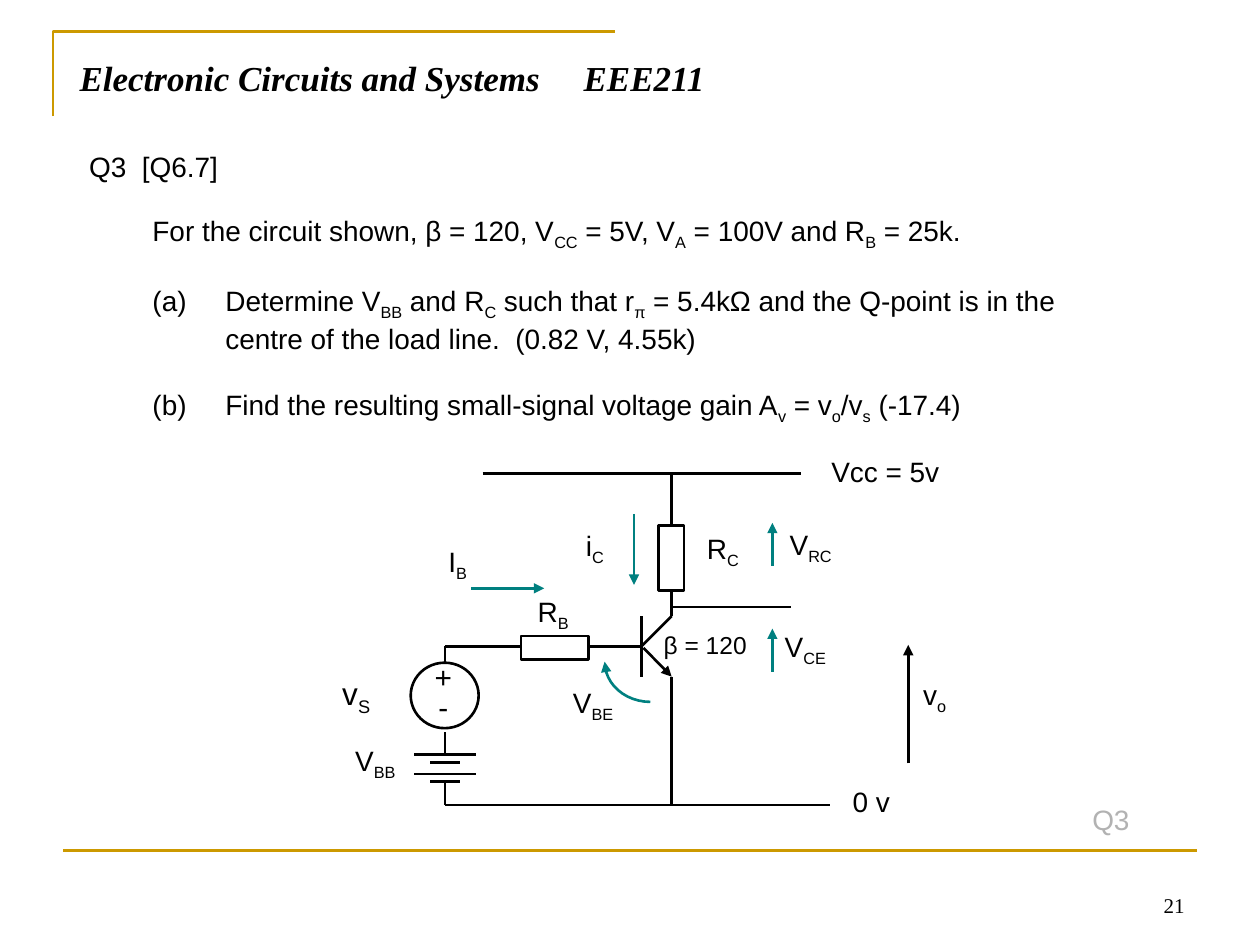
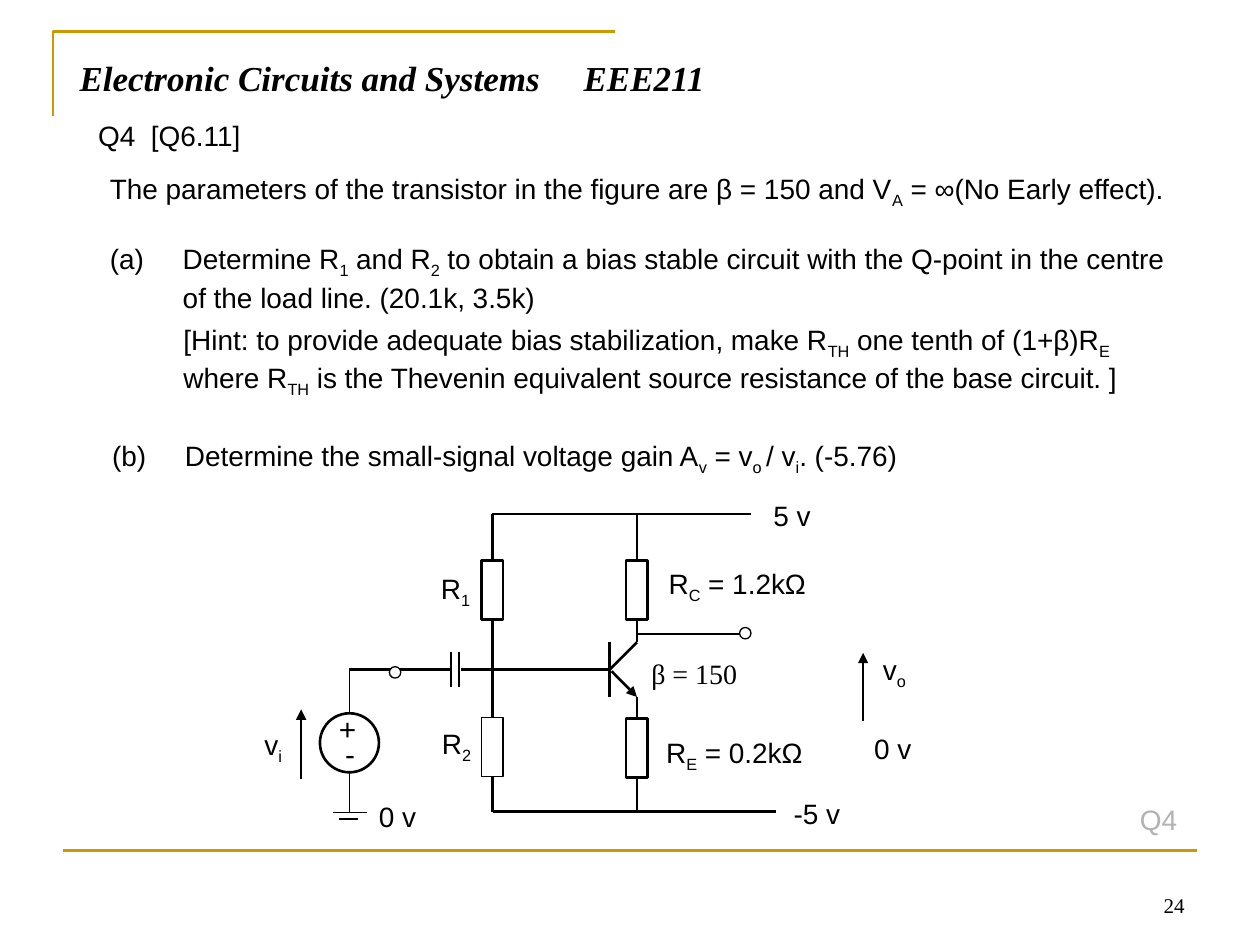
from dataclasses import dataclass
from math import cos, pi, sin

from lxml.etree import SubElement
from pptx import Presentation
from pptx.dml.color import RGBColor
from pptx.enum.shapes import MSO_CONNECTOR as Link, MSO_SHAPE as Preset
from pptx.enum.text import MSO_ANCHOR as Anchor, MSO_AUTO_SIZE as AutoSize, PP_ALIGN as Align
from pptx.oxml.ns import qn
from pptx.util import Cm, Pt


@dataclass(frozen=True)
class Theme:
    """Colours, fonts, type sizes and line widths of the deck."""
    ink: str = "000000"
    paper: str = "FFFFFF"
    gold: str = "CC9900"
    teal: str = "008080"
    grey: str = "B2B2B2"
    sans: str = "Arial"
    serif: str = "Times New Roman"
    title: int = 20
    text: int = 16
    sign: int = 17
    source: int = 18
    small: int = 14
    page: int = 12
    thick: float = 1.5
    thin: float = 0.75


THEME = Theme()
HANG = 1.47
LIST_GAP = 18.4
TITLE = "Electronic Circuits and Systems\tEEE211"


def rgb(color):
    """Turn a hex colour into an RGBColor."""
    return RGBColor.from_string(color)


def place(item, left, top, width, height):
    """Move and size an item, in centimetres."""
    item.left, item.top, item.width, item.height = map(Cm, (left, top, width, height))


def write(paragraph, marked, size=THEME.text, color=THEME.ink, font=THEME.sans, strong=False):
    """Add text run by run; parts between tildes are subscripts."""
    for number, part in enumerate(marked.split("~")):
        if not part:
            continue
        run = paragraph.add_run()
        run.text = part
        run.font.size, run.font.name = Pt(size), font
        run.font.bold = run.font.italic = strong
        run.font.color.rgb = rgb(color)
        if number % 2:
            run._r.get_or_add_rPr().set("baseline", "-25000")


def shape_paragraph(paragraph, hang=0, gap=0, numbered=False, tab=None):
    """Set the hanging indent, space before, numbering and tab stop."""
    paragraph.alignment = Align.LEFT
    paragraph.space_before = Pt(gap)
    properties = paragraph._p.get_or_add_pPr()
    properties.set("marL", str(Cm(hang)))
    properties.set("indent", str(-Cm(hang)))
    if numbered:
        SubElement(properties, qn("a:buFont"), typeface=THEME.sans)
        SubElement(properties, qn("a:buAutoNum"), type="alphaLcParenBoth")
    else:
        SubElement(properties, qn("a:buNone"))
    if tab:
        stops = SubElement(properties, qn("a:tabLst"))
        SubElement(stops, qn("a:tab"), pos=str(Cm(tab)), algn="l")


def prepare_frame(frame, anchor=Anchor.TOP):
    """Make a text frame wrap at a fixed size."""
    frame.word_wrap = True
    frame.auto_size = AutoSize.NONE
    frame.vertical_anchor = anchor


def add_label(slide, marked, left, top, width, height, hang=0, fill=None,
              anchor=Anchor.TOP, align=Align.LEFT, **style):
    """Add a one-paragraph text box."""
    box = slide.shapes.add_textbox(*map(Cm, (left, top, width, height)))
    prepare_frame(box.text_frame, anchor)
    if fill:
        box.fill.solid()
        box.fill.fore_color.rgb = rgb(fill)
    paragraph = box.text_frame.paragraphs[0]
    shape_paragraph(paragraph, hang)
    paragraph.alignment = align
    write(paragraph, marked, **style)


def add_question(slide, bounds, items):
    """Fill the body placeholder; each item is a text and a numbering flag."""
    body = slide.placeholders[1]
    place(body, *bounds)
    prepare_frame(body.text_frame)
    for index, (marked, numbered) in enumerate(items):
        paragraph = body.text_frame.add_paragraph() if index else body.text_frame.paragraphs[0]
        shape_paragraph(paragraph, HANG, LIST_GAP if index else 0, numbered)
        write(paragraph, marked)


def stroke(item, color, weight, arrow=False):
    """Draw an item's line, with an arrowhead at its end if wanted."""
    item.line.color.rgb = rgb(color)
    item.line.width = Pt(weight)
    if arrow:
        SubElement(item.line._get_or_add_ln(), qn("a:tailEnd"), type="triangle")


def add_wire(slide, x1, y1, x2, y2, color=THEME.ink, weight=THEME.thick, arrow=False):
    """Add a straight line or arrow."""
    wire = slide.shapes.add_connector(Link.STRAIGHT, *map(Cm, (x1, y1, x2, y2)))
    stroke(wire, color, weight, arrow)
    SubElement(wire._element.spPr, qn("a:effectLst"))


def add_outline(slide, points, color, arrow=False):
    """Add an open, unfilled path through the points."""
    path_points = [(Cm(x), Cm(y)) for x, y in points]
    builder = slide.shapes.build_freeform(*path_points[0])
    builder.add_line_segments(path_points[1:], close=False)
    outline = builder.convert_to_shape()
    outline.shadow.inherit = False
    outline.fill.background()
    stroke(outline, color, THEME.thick, arrow)


def add_part(slide, preset, left, top, width, height, weight=THEME.thick, filled=True):
    """Add a resistor, source circle or terminal."""
    part = slide.shapes.add_shape(preset, *map(Cm, (left, top, width, height)))
    part.shadow.inherit = False
    if filled:
        part.fill.solid()
        part.fill.fore_color.rgb = rgb(THEME.paper)
    else:
        part.fill.background()
    stroke(part, THEME.ink, weight)


def add_transistor(slide, x, y, reach):
    """Add a transistor whose base bar is centred on x, y."""
    add_wire(slide, x, y - reach, x, y + reach)
    add_wire(slide, x, y, x + reach, y - reach)
    add_wire(slide, x + 0.04, y + 0.03, x + reach, y + reach, arrow=True)


def add_wires(slide, wires, **style):
    """Add several lines in one style."""
    for ends in wires:
        add_wire(slide, *ends, **style)


def add_labels(slide, labels, **style):
    """Add several labels in one style."""
    for label in labels:
        add_label(slide, *label, **style)


def start_slide(deck, page, heading, heading_bounds, tag, tag_bounds):
    """Add a slide with the shared title, gold rules, heading, tag and page number."""
    slide = deck.slides.add_slide(deck.slide_layouts[1])
    add_outline(slide, [(1.07, 2.34), (1.07, 0.64), (12.4, 0.64)], THEME.gold)
    add_wire(slide, 1.27, 17.15, 24.13, 17.15, color=THEME.gold)
    title = slide.shapes.title
    place(title, 1.35, 1.02, 22.66, 1.55)
    prepare_frame(title.text_frame)
    paragraph = title.text_frame.paragraphs[0]
    shape_paragraph(paragraph, tab=17.75)
    write(paragraph, TITLE, THEME.title, font=THEME.serif, strong=True)
    add_label(slide, page, 18.21, 17.35, 5.92, 1.27, anchor=Anchor.BOTTOM, align=Align.RIGHT,
              size=THEME.page, font=THEME.serif)
    add_label(slide, heading, *heading_bounds)
    add_label(slide, tag, *tag_bounds, color=THEME.grey)
    return slide


def draw_biased_amplifier(slide):
    """Draw the amplifier with a battery in its base circuit."""
    base_y, branch_x, source_x = 13.03, 13.54, 8.97
    add_wires(slide, [
        (9.73, 9.55, 16.15, 9.55),
        (source_x, 16.23, 16.74, 16.23),
        (branch_x, 9.55, branch_x, 12.42),
        (branch_x, 12.24, 15.95, 12.24),
        (branch_x, 13.64, branch_x, 16.23),
        (source_x, base_y, 12.93, base_y),
        (source_x, base_y, source_x, 13.34),
        (source_x, 14.76, source_x, 15.21),
        (source_x, 15.75, source_x, 16.23),
    ])
    for plate_y, half in [(15.21, 0.62), (15.37, 0.3), (15.6, 0.62), (15.75, 0.3)]:
        add_wire(slide, source_x - half, plate_y, source_x + half, plate_y)
    add_transistor(slide, 12.93, base_y, 0.61)
    add_part(slide, Preset.RECTANGLE, 13.28, 10.59, 0.51, 1.32)
    add_part(slide, Preset.RECTANGLE, 10.5, 12.82, 1.37, 0.48)
    add_part(slide, Preset.OVAL, 8.28, 13.36, 1.37, 1.32, filled=False)
    add_wire(slide, 18.31, 15.39, 18.31, 13, arrow=True)
    add_wires(slide, [
        (15.57, 13.54, 15.57, 12.67),
        (15.57, 11.4, 15.57, 10.54),
        (12.78, 10.36, 12.78, 11.79),
        (9.5, 11.86, 10.97, 11.86),
    ], color=THEME.teal, arrow=True)
    turns = [step * pi / 24 for step in range(13)]
    add_outline(slide, [(13.11 - 0.92 * sin(t), 13.34 + 0.81 * cos(t)) for t in turns],
                THEME.teal, arrow=True)
    add_labels(slide, [
        ("Vcc = 5v", 16.51, 9.04, 2.72, 1.19),
        ("0 v", 16.94, 15.7, 1.85, 1.19),
        ("v~o~", 18.36, 13.54, 2.13, 1.19),
        ("V~CE~", 15.57, 12.57, 1.55, 0.94),
        ("R~C~", 14, 10.59, 2.03, 0.97),
        ("R~B~", 10.59, 11.86, 1.65, 0.94),
        ("V~BB~", 6.91, 14.86, 1.7, 1.04),
        ("V~BE~", 11.3, 13.69, 1.55, 0.97),
        ("i~C~", 11.56, 10.54, 1.55, 0.97),
        ("I~B~", 8.79, 10.85, 1.55, 0.94),
        ("V~RC~", 15.67, 10.52, 1.55, 0.94),
    ])
    add_labels(slide, [("+", 8.51, 13.16, 0.99, 1.04), ("-", 8.59, 13.77, 0.91, 1.04)],
               size=THEME.sign)
    add_label(slide, "v~S~", 6.65, 13.46, 1.57, 1.04, size=THEME.source)
    add_label(slide, "β = 120", 13.13, 12.57, 2.59, 0.94, size=THEME.small)


def draw_divider_amplifier(slide):
    """Draw the amplifier biased by a resistor divider."""
    base_y, divider_x, branch_x, source_x = 13.5, 9.93, 12.84, 7.04
    add_wires(slide, [
        (9.91, 10.36, 15.14, 10.36),
        (divider_x, 16.36, 15.65, 16.36),
        (divider_x, 10.36, divider_x, 16.36),
        (branch_x, 10.36, branch_x, 12.95),
        (branch_x, 14.05, branch_x, 16.36),
        (branch_x, 12.78, 14.94, 12.78),
        (source_x, base_y, 9.09, base_y),
        (9.3, base_y, 12.29, base_y),
        (9.09, 13.15, 9.09, 13.85),
        (9.25, 13.15, 9.25, 13.85),
    ])
    add_wires(slide, [
        (source_x, base_y, source_x, 14.35),
        (source_x, 15.55, source_x, 16.38),
        (6.71, 16.38, 7.39, 16.38),
        (6.83, 16.51, 7.21, 16.51),
    ], weight=THEME.thin)
    add_wires(slide, [(17.4, 14.53, 17.4, 13.16), (6.07, 15.7, 6.07, 14.3)],
              weight=THEME.thin, arrow=True)
    add_transistor(slide, 12.29, base_y, 0.55)
    for left, top, weight in [(9.71, 11.3, THEME.thick), (9.71, 14.46, THEME.thin),
                              (12.62, 11.3, THEME.thick), (12.62, 14.48, THEME.thick)]:
        add_part(slide, Preset.RECTANGLE, left, top, 0.43, 1.19, weight)
    add_part(slide, Preset.OVAL, 6.45, 14.38, 1.19, 1.19, filled=False)
    for left, top in [(14.91, 12.65), (7.85, 13.44)]:
        add_part(slide, Preset.OVAL, left, top, 0.23, 0.23, THEME.thin)
    add_labels(slide, [
        ("R~C~ = 1.2kΩ", 13.23, 11.3, 3.66, 0.76),
        ("5 v", 15.34, 9.93, 1.7, 0.94),
        ("0 v", 7.39, 16, 1.4, 0.79),
        ("v~i~", 5.08, 14.55, 1.37, 0.94),
        ("v~o~", 17.55, 13.03, 1.68, 0.94),
        ("R~1~", 8.64, 11.4, 1.17, 0.86),
        ("R~2~", 8.66, 14.53, 1.17, 0.86),
        ("-5 v", 15.75, 15.93, 1.63, 0.94),
        ("R~E~ = 0.2kΩ", 13.18, 14.71, 3.61, 0.79),
        ("0 v", 17.37, 14.63, 1.4, 0.79),
    ])
    add_labels(slide, [("+", 6.58, 14.2, 0.86, 0.94), ("-", 6.71, 14.71, 0.79, 0.94)],
               size=THEME.sign)
    add_label(slide, "β = 150", 12.78 + 0.1, 13.11, 2.47, 0.74, fill=THEME.paper, font=THEME.serif)


def main():
    """Build both question slides and save the deck."""
    deck = Presentation()
    deck.slide_width, deck.slide_height = Cm(25.4), Cm(19.05)

    biased = start_slide(deck, "21", "Q3  [Q6.7]", (1.55, 2.9, 3.89, 0.94),
                         "Q3", (21.77, 16.05, 2.51, 0.94))
    add_question(biased, (2.82, 4.17, 19.84, 4.32), [
        ("For the circuit shown, β = 120, V~CC~ = 5V, V~A~ = 100V and R~B~ = 25k.", False),
        ("(a)\tDetermine V~BB~ and R~C~ such that r~π~ = 5.4kΩ and the Q-point is in the "
         "centre of the load line.  (0.82 V, 4.55k)", False),
        ("(b)\tFind the resulting small-signal voltage gain A~v~ = v~o~/v~s~ (-17.4)", False),
    ])
    draw_biased_amplifier(biased)

    divider = start_slide(deck, "24", "Q4  [Q6.11]", (1.73, 2.26, 4.32, 0.94),
                          "Q4", (22.73, 16.05, 1.55, 0.94))
    add_question(divider, (1.96, 3.33, 21.82, 2.97), [
        ("The parameters of the transistor in the figure are β = 150 and V~A~ = ∞"
         "(No Early effect).", False),
        ("Determine R~1~ and R~2~ to obtain a bias stable circuit with the Q-point in the "
         "centre of the load line. (20.1k, 3.5k)", True),
    ])
    add_label(divider, "[Hint: to provide adequate bias stabilization, make R~TH~ one tenth of "
              "(1+β)R~E~ where R~TH~ is the Thevenin equivalent source resistance of the base "
              "circuit. ]", 3.45, 6.38, 19.71, 1.63)
    add_label(divider, "(b)\tDetermine the small-signal voltage gain A~v~ = v~o ~/ v~i~. (-5.76)",
              2.01, 8.71, 21.82, 0.94, hang=HANG)
    draw_divider_amplifier(divider)
    deck.save("out.pptx")


if __name__ == "__main__":
    main()
